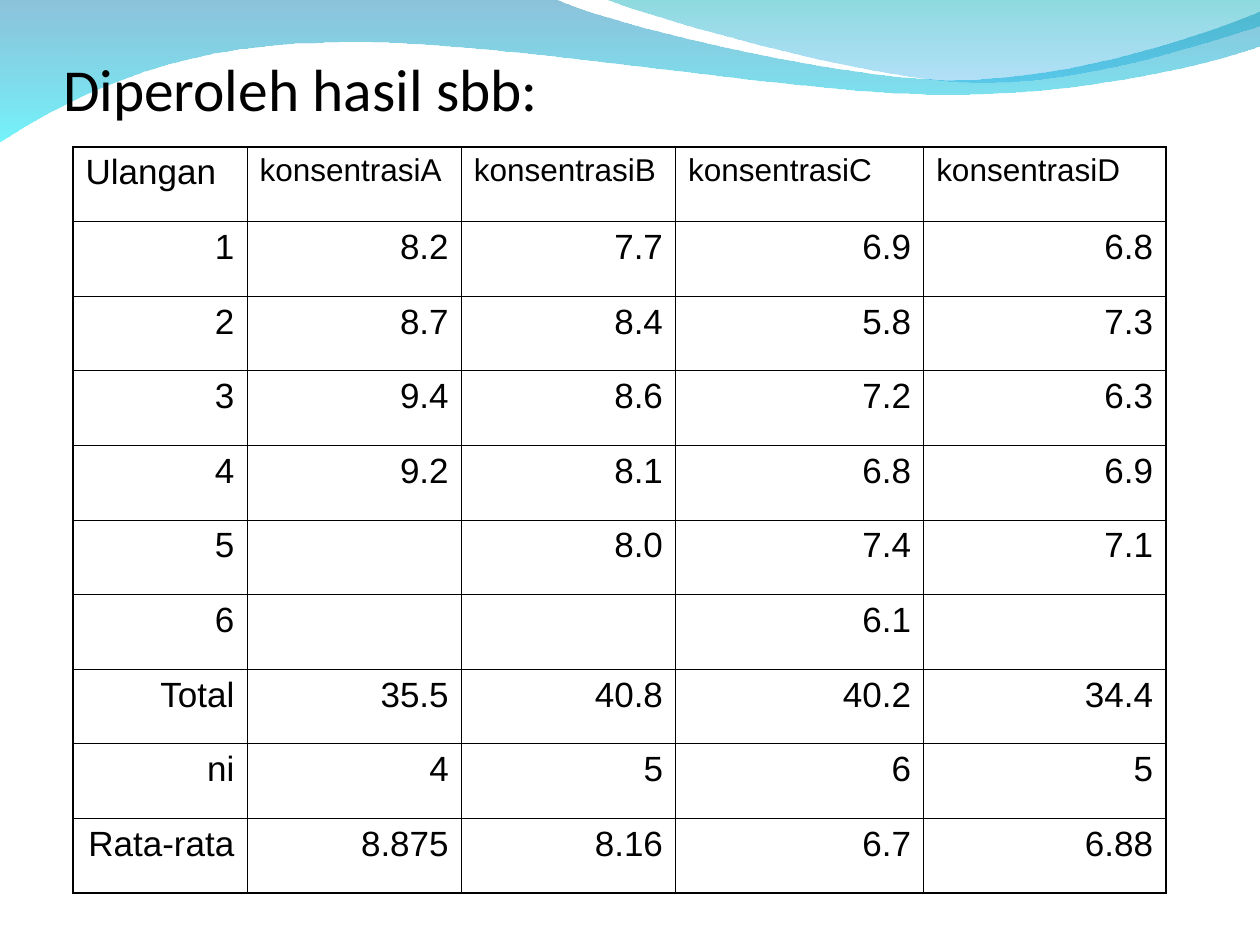
from dataclasses import dataclass

from lxml import etree
from pptx import Presentation
from pptx.dml.color import RGBColor
from pptx.enum.text import MSO_ANCHOR, MSO_AUTO_SIZE, PP_ALIGN
from pptx.oxml import parse_xml
from pptx.oxml.ns import nsdecls, qn
from pptx.util import Cm, Pt

LEFT, RIGHT = PP_ALIGN.LEFT, PP_ALIGN.RIGHT
TOP = MSO_ANCHOR.TOP
NO_AUTOFIT = MSO_AUTO_SIZE.NONE
TITLE_ONLY = 5


@dataclass(frozen=True)
class Theme:
    ink: str = "000000"
    title_font: str = "Calibri"
    body_font: str = "Arial"
    title_size: float = 34
    body_size: float = 20
    heading_size: float = 18
    grid_line: float = 0.45
    frame_line: float = 1.08
    # Gradient stops: colour and opacity in percent
    wave_back: tuple = (("0079AF", 45), ("00EBF8", 55))
    wave_front: tuple = (("00ADB6", 45), ("009BE5", 30))


THEME = Theme()

# Wave outlines in cm: each part lists its points, one for a line
# and three (two handles and the end) for a Bézier curve
WAVE_BACK = [
    [(0, -0.03)],
    [(11.18, -0.03)],
    [(12.09, 0.43), (16.87, 1.6), (19.25, 1.6)],
    [(21.67, 1.6), (24.33, 0.66), (25.4, 0.23)],
    [(25.43, 0.91)],
    [(24.97, 1.12), (22.1, 1.93), (18.95, 1.9)],
    [(15.8, 1.9), (9.7, 0.71), (6.53, 0.86)],
    [(3.28, 0.89), (1.17, 2.11), (-0.03, 2.87)],
]
WAVE_FRONT = [
    [(12.17, -0.03)],
    [(12.93, 0.28), (17.32, 1.57), (19.53, 1.65)],
    [(21.74, 1.75), (24.41, 0.81), (25.4, 0.53)],
    [(25.4, 0)],
]

COLUMN_WIDTHS = (3.51, 4.32, 4.32, 5, 4.88)
RESULTS = [
    ("Ulangan", "konsentrasiA", "konsentrasiB", "konsentrasiC", "konsentrasiD"),
    ("1", "8.2", "7.7", "6.9", "6.8"),
    ("2", "8.7", "8.4", "5.8", "7.3"),
    ("3", "9.4", "8.6", "7.2", "6.3"),
    ("4", "9.2", "8.1", "6.8", "6.9"),
    ("5", "", "8.0", "7.4", "7.1"),
    ("6", "", "", "6.1", ""),
    ("Total", "35.5", "40.8", "40.2", "34.4"),
    ("ni", "4", "5", "6", "5"),
    ("Rata-rata", "8.875", "8.16", "6.7", "6.88"),
]


def add_run(p, text, font, size):
    r = p.add_run()
    r.text = text
    r.font.name = font
    r.font.size = Pt(size)
    r.font.color.rgb = RGBColor.from_string(THEME.ink)


def bend_segments(sp, parts):
    """Turn the straight segments of three-point parts into Bézier curves."""
    segments = list(sp._element.iter(qn("a:lnTo")))
    for segment, points in zip(segments, parts):
        if len(points) == 3:
            segment.tag = qn("a:cubicBezTo")
            segment.clear()
            for x, y in points:
                etree.SubElement(segment, qn("a:pt"),
                                 x=str(Cm(x) - sp.left), y=str(Cm(y) - sp.top))


def add_wave(slide, outline, stops):
    corners = [(Cm(x), Cm(y)) for x, y in (part[-1] for part in outline)]
    builder = slide.shapes.build_freeform(*corners[0])
    builder.add_line_segments(corners[1:], close=True)
    sp = builder.convert_to_shape()
    bend_segments(sp, outline[1:])
    sp.shadow.inherit = False
    sp.line.fill.background()

    # Top-to-bottom gradient with transparent stops
    gs = "".join(
        f'<a:gs pos="{pos}"><a:srgbClr val="{color}">'
        f'<a:alpha val="{opacity * 1000}"/></a:srgbClr></a:gs>'
        for pos, (color, opacity) in zip((0, 100000), stops)
    )
    sp._element.spPr.find(qn("a:custGeom")).addnext(parse_xml(
        f'<a:gradFill {nsdecls("a")} rotWithShape="1"><a:gsLst>{gs}</a:gsLst>'
        '<a:lin ang="5400000" scaled="0"/></a:gradFill>'
    ))


def format_title(slide, text):
    sp = slide.shapes.title
    sp.left, sp.top, sp.width, sp.height = Cm(1.27), Cm(0.76), Cm(22.86), Cm(3.18)
    tf = sp.text_frame
    tf.auto_size = NO_AUTOFIT
    tf.vertical_anchor = TOP
    tf.margin_left = tf.margin_right = tf.margin_bottom = 0
    tf.margin_top = Cm(0.29)
    p = tf.paragraphs[0]
    p.alignment = LEFT
    add_run(p, text, THEME.title_font, THEME.title_size)
    # Bring the title in front of the waves
    slide.shapes._spTree.append(sp._element)


def set_borders(cell, on_frame):
    tc_pr = cell._tc.get_or_add_tcPr()
    for side in "LRTB":
        width = THEME.frame_line if on_frame[side] else THEME.grid_line
        ln = etree.SubElement(tc_pr, qn(f"a:ln{side}"), w=str(Pt(width)))
        fill = etree.SubElement(ln, qn("a:solidFill"))
        etree.SubElement(fill, qn("a:srgbClr"), val=THEME.ink)


def add_results_table(slide, rows, widths):
    n_rows, n_cols = len(rows), len(widths)
    table = slide.shapes.add_table(
        n_rows, n_cols, Cm(1.47), Cm(2.96), Cm(sum(widths)), Cm(15.04)
    ).table
    table.first_row = table.horz_banding = False
    for column, width in zip(table.columns, widths):
        column.width = Cm(width)

    for i, row in enumerate(rows):
        for j, text in enumerate(row):
            cell = table.cell(i, j)
            set_borders(cell, {"L": j == 0, "R": j == n_cols - 1,
                               "T": i == 0, "B": i == n_rows - 1})
            cell.fill.background()
            p = cell.text_frame.paragraphs[0]
            p.alignment = LEFT if i == 0 else RIGHT
            if text:
                is_heading = i == 0 and j > 0
                size = THEME.heading_size if is_heading else THEME.body_size
                add_run(p, text, THEME.body_font, size)


def main():
    prs = Presentation()
    prs.slide_width, prs.slide_height = Cm(25.4), Cm(19.05)
    slide = prs.slides.add_slide(prs.slide_layouts[TITLE_ONLY])

    # Waves along the top edge
    add_wave(slide, WAVE_BACK, THEME.wave_back)
    add_wave(slide, WAVE_FRONT, THEME.wave_front)

    # Title and measurements
    format_title(slide, "Diperoleh hasil sbb:")
    add_results_table(slide, RESULTS, COLUMN_WIDTHS)

    prs.save("out.pptx")


if __name__ == "__main__":
    main()
